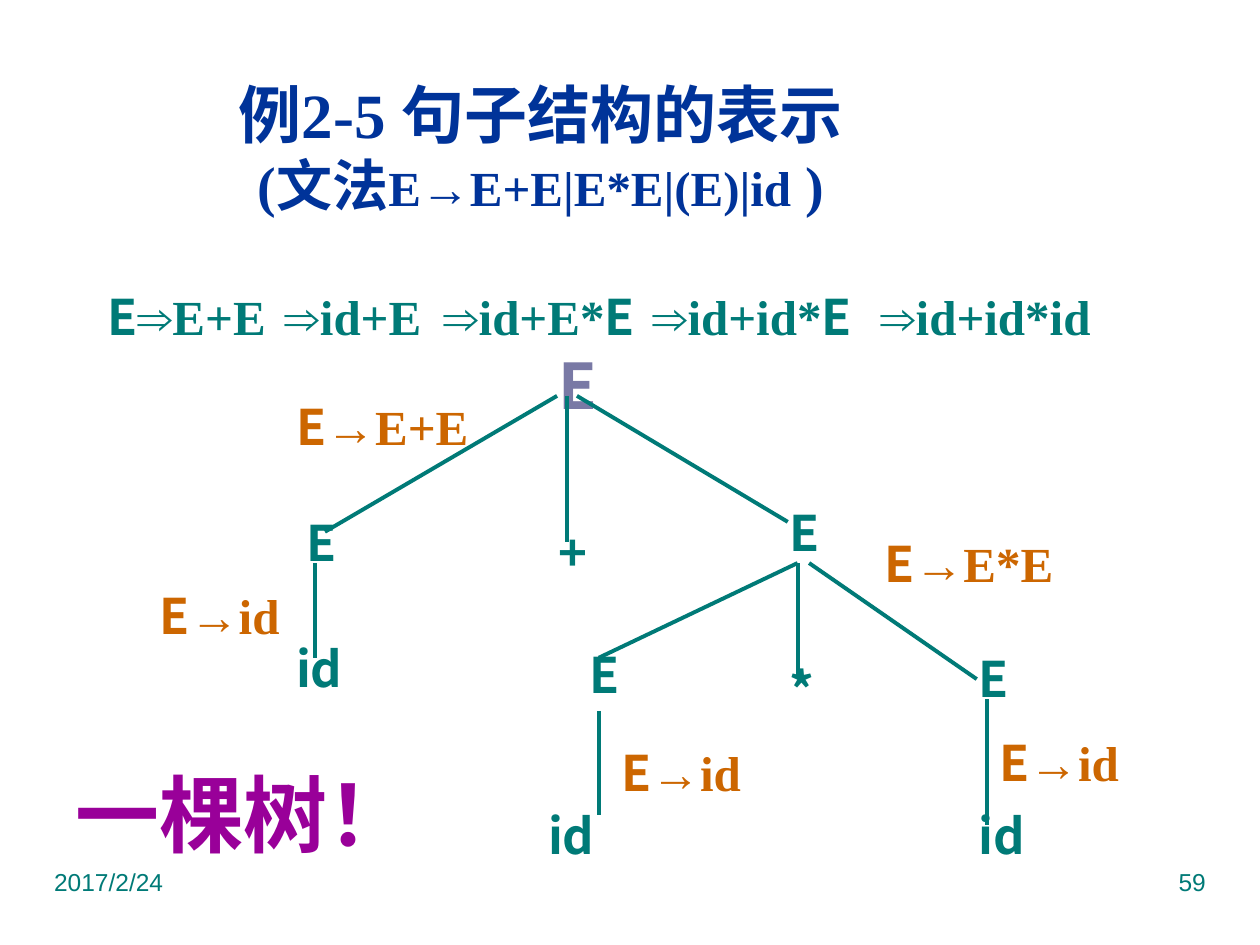
from dataclasses import dataclass
from typing import NamedTuple

from lxml.etree import SubElement
from pptx import Presentation
from pptx.dml.color import RGBColor
from pptx.enum.shapes import MSO_CONNECTOR
from pptx.enum.text import MSO_ANCHOR, PP_ALIGN as Align
from pptx.oxml.ns import qn
from pptx.util import Cm, Pt


@dataclass(frozen=True)
class Theme:
    teal: str = "007A77"
    orange: str = "CC6600"
    lavender: str = "7979A5"
    navy: str = "003399"
    purple: str = "990099"
    sans: str = "Noto Sans CJK SC"
    serif: str = "Times New Roman"
    footer_font: str = "Arial"
    footer_size: int = 14
    body_size: int = 28
    subtitle_size: int = 32
    title_size: int = 36
    callout_size: int = 48
    line_width: float = 2.25


THEME = Theme()


class Label(NamedTuple):
    left: float
    top: float
    sans: str = ""
    serif: str = ""
    width: float = 3.18
    color: str = THEME.teal
    size: int = THEME.body_size


class Branch(NamedTuple):
    start: tuple[float, float]
    end: tuple[float, float]


STEP_TOP = 5.54
DERIVATION = [
    Label(1.91, STEP_TOP, "E", "⇒E+E", 4.19),
    Label(5.49, STEP_TOP, serif="⇒id+E", width=3.99),
    Label(8.69, STEP_TOP, "E", "⇒id+E*", 5.41),
    Label(12.9, STEP_TOP, "E", "⇒id+id*", 5.21),
    Label(17.5, STEP_TOP, serif="⇒id+id*id", width=6.2),
]
NODES = [
    Label(11, 6.71, "E", color=THEME.lavender, size=THEME.title_size),
    Label(5.92, 10.08, "E"),
    Label(11, 10.29, "+"),
    Label(15.67, 9.88, "E"),
    Label(5.72, 12.62, "id"),
    Label(11.63, 12.75, "E"),
    Label(15.67, 13.06, "*"),
    Label(19.48, 12.83, "E"),
    Label(10.8, 16, "id"),
    Label(19.48, 16, "id"),
]
PRODUCTIONS = [
    Label(5.72, 7.75, "E", "→E+E", 4.01, THEME.orange),
    Label(2.97, 11.56, "E", "→id", 2.97, THEME.orange),
    Label(17.58, 10.52, "E", "→E*E", 4.01, THEME.orange),
    Label(12.27, 14.73, "E", "→id", 2.97, THEME.orange),
    Label(19.89, 14.53, "E", "→id", 3.18, THEME.orange),
]
CALLOUT = Label(1.27, 15.04, "一棵树！", width=7.62, color=THEME.purple,
                size=THEME.callout_size)
BRANCHES = [
    Branch((11.23, 7.98), (6.55, 10.72)),
    Branch((11.43, 7.98), (11.43, 10.92)),
    Branch((11.63, 7.98), (15.88, 10.52)),
    Branch((6.35, 11.35), (6.35, 13.26)),
    Branch((16.08, 11.35), (12.07, 13.26)),
    Branch((16.08, 11.35), (16.08, 13.69)),
    Branch((16.31, 11.35), (19.69, 13.69)),
    Branch((12.07, 14.33), (12.07, 16.43)),
    Branch((19.89, 14.1), (19.89, 16.64)),
]


def add_run(paragraph, text: str, *, font: str, size: int, color: str,
            bold: bool = True) -> None:
    run = paragraph.add_run()
    run.text = text
    run.font.name = font
    run.font.size = Pt(size)
    run.font.bold = bold
    run.font.color.rgb = RGBColor.from_string(color)


def add_text_paragraph(slide, left: float, top: float, width: float, height: float):
    """Add a wrapping text box and return its first paragraph."""
    frame = slide.shapes.add_textbox(Cm(left), Cm(top), Cm(width), Cm(height)).text_frame
    frame.word_wrap = True
    return frame.paragraphs[0]


def add_label(slide, label: Label) -> None:
    """Draw the label's parts; a part starting with ⇒ goes first."""
    paragraph = add_text_paragraph(slide, label.left, label.top, label.width,
                                   label.size * 0.055)
    paragraph.line_spacing = 1.1
    parts = [(label.sans, THEME.sans), (label.serif, THEME.serif)]
    if label.serif.startswith("⇒id"):
        parts.reverse()
    for text, font in parts:
        if text:
            add_run(paragraph, text, font=font, size=label.size, color=label.color)


def add_branch(slide, branch: Branch) -> None:
    (x1, y1), (x2, y2) = branch
    connector = slide.shapes.add_connector(
        MSO_CONNECTOR.STRAIGHT, Cm(x1), Cm(y1), Cm(x2), Cm(y2))
    connector.line.color.rgb = RGBColor.from_string(THEME.teal)
    connector.line.width = Pt(THEME.line_width)
    SubElement(connector._element.spPr, qn("a:effectLst"))


def fill_title(slide) -> None:
    title = slide.shapes.title
    title.left, title.top, title.width, title.height = Cm(2.11), Cm(1.47), Cm(17.58), Cm(2.97)
    title.text_frame.vertical_anchor = MSO_ANCHOR.MIDDLE
    paragraph = title.text_frame.paragraphs[0]
    paragraph.alignment = Align.CENTER
    style = {"font": THEME.serif, "color": THEME.navy}
    add_run(paragraph, "例2-5 句子结构的表示", size=THEME.title_size, **style)
    paragraph.add_line_break()
    add_run(paragraph, "(文法", size=THEME.subtitle_size, **style)
    add_run(paragraph, "E→E+E|E*E|(E)|id", size=THEME.body_size, **style)
    add_run(paragraph, " )", size=THEME.subtitle_size, **style)


def add_footer(slide, text: str, left: float, alignment: Align) -> None:
    paragraph = add_text_paragraph(slide, left, 17.35, 6.35, 1.32)
    paragraph.alignment = alignment
    add_run(paragraph, text, font=THEME.footer_font, size=THEME.footer_size,
            color=THEME.teal, bold=False)


def main() -> None:
    presentation = Presentation()
    presentation.slide_width, presentation.slide_height = Cm(25.4), Cm(19.05)
    slide = presentation.slides.add_slide(presentation.slide_layouts[5])
    fill_title(slide)
    add_footer(slide, "2017/2/24", 0.84, Align.LEFT)
    add_footer(slide, "59", 18.21, Align.RIGHT)
    for label in [*NODES, *PRODUCTIONS, *DERIVATION, CALLOUT]:
        add_label(slide, label)
    for branch in BRANCHES:
        add_branch(slide, branch)
    presentation.save("out.pptx")


if __name__ == "__main__":
    main()
